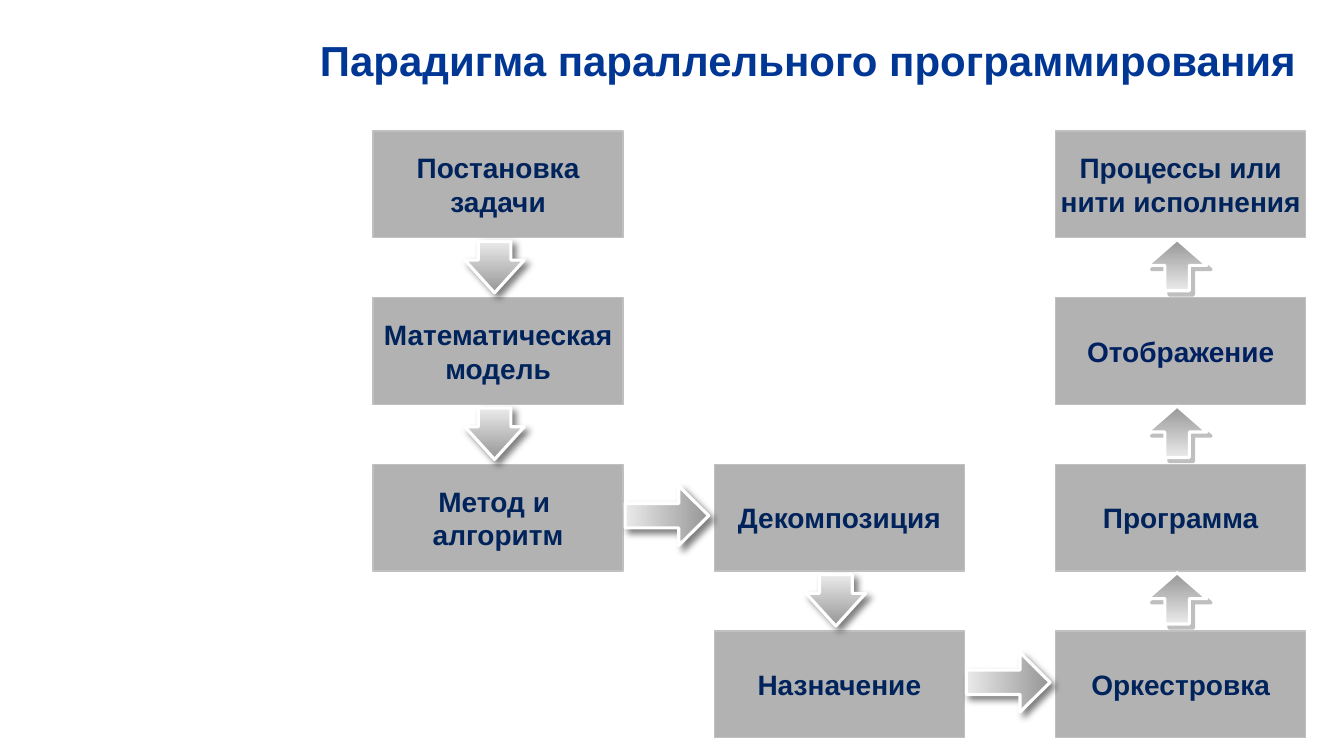
from lxml import etree
from pptx import Presentation
from pptx.dml.color import RGBColor as RGB
from pptx.enum.shapes import MSO_SHAPE as Shape
from pptx.enum.text import MSO_ANCHOR as Anchor, PP_ALIGN as Align
from pptx.oxml.ns import qn
from pptx.util import Inches, Pt

HUES = {
    "title": "003794", "text": "00235C", "last": "002060",
    "box": "B2B2B2", "edge": "C0C0C0", "rim": "FFFFFF",
    "light": "EAEAEA", "dark": "969696",
    "black": "000000", "grey": "808080",
}

# Grid: left and top of the first box, step between boxes, size of a box
LEFT, TOP = 3.7, 1.3
COL, ROW = 3.385, 1.653
WIDE, HIGH = 2.48, 1.06

BOXES = [  # column, row, lines, text colour
    (0, 0, ["Постановка задачи"], "text"),
    (0, 1, ["Математическая модель"], "text"),
    (0, 2, ["Метод и ", "алгоритм"], "text"),
    (1, 2, ["Декомпозиция"], "text"),
    (1, 3, ["Назначение"], "text"),
    (2, 3, ["Оркестровка"], "text"),
    (2, 2, ["Программа"], "text"),
    (2, 1, ["Отображение"], "last"),
    (2, 0, ["Процессы или нити исполнения"], "text"),
]

KINDS = {  # centre from the box corner, length, turn, adjusts, shadow, blur
    "down": (1.205, 1.35, 0.51, 90, (0.55, 0.636), "black", 5),
    "right": (2.915, 0.51, 0.83, 0, (0.411, 0.504), "black", 5),
    "up": (1.205, 1.33, 0.51, 270, (0.411, 0.504), "grey", 0),
}
THICK = 0.59

ARROWS = [  # kind, column, row
    ("down", 0, 0), ("down", 0, 1), ("right", 0, 2), ("down", 1, 2),
    ("right", 1, 3), ("up", 2, 2), ("up", 2, 1), ("up", 2, 0),
]


def hue(name):
    return RGB.from_string(HUES[name])


def write(shape, lines, size, color, align):
    frame = shape.text_frame
    look = {"word_wrap": True, "vertical_anchor": Anchor.MIDDLE,
            "margin_left": 0, "margin_right": 0,
            "margin_top": 0, "margin_bottom": 0}
    for key, val in look.items():
        setattr(frame, key, val)
    frame.text = "\n".join(lines)
    for para in frame.paragraphs:
        para.alignment = align
        font = para.runs[0].font
        for key, val in {"name": "Arial", "size": Pt(size), "bold": True}.items():
            setattr(font, key, val)
        font.color.rgb = hue(color)


deck = Presentation()
deck.slide_width, deck.slide_height = Inches(13.33), Inches(7.5)
slide = deck.slides.add_slide(deck.slide_layouts[6])
shapes = slide.shapes

title = shapes.add_textbox(Inches(0.47), Inches(0.26), Inches(12.39), Inches(0.67))
write(title, ["Парадигма параллельного программирования"], 30, "title", Align.RIGHT)

for col, row, lines, color in BOXES:
    box = shapes.add_shape(
        Shape.RECTANGLE, Inches(LEFT + col * COL), Inches(TOP + row * ROW),
        Inches(WIDE), Inches(HIGH))
    box.shadow.inherit = False
    box.fill.solid()
    box.fill.fore_color.rgb = hue("box")
    box.line.color.rgb = hue("edge")
    box.line.width = Pt(1)
    write(box, lines, 20, color, Align.CENTER)

for kind, col, row in ARROWS:
    dx, dy, length, turn, bends, shade, blur = KINDS[kind]
    arrow = shapes.add_shape(
        Shape.RIGHT_ARROW,
        Inches(LEFT + col * COL + dx - length / 2),
        Inches(TOP + row * ROW + dy - THICK / 2),
        Inches(length), Inches(THICK))
    arrow.rotation = turn
    for i, bend in enumerate(bends):
        arrow.adjustments[i] = bend
    arrow.fill.gradient()
    arrow.fill.gradient_angle = 0
    for stop, name in zip(arrow.fill.gradient_stops, ("light", "dark")):
        stop.color.rgb = hue(name)
    arrow.line.color.rgb = hue("rim")
    arrow.line.width = Pt(2.25)

    arrow.shadow.inherit = False
    effects = arrow.element.spPr.find(qn("a:effectLst"))
    cast = etree.SubElement(
        effects, qn("a:outerShdw"), blurRad=str(Pt(blur)), dist=str(Pt(4.2)),
        dir=str(45 * 60000), algn="ctr", rotWithShape="0")
    tint = etree.SubElement(cast, qn("a:srgbClr"), val=HUES[shade])
    etree.SubElement(tint, qn("a:alpha"), val="50000")

deck.save("out.pptx")
